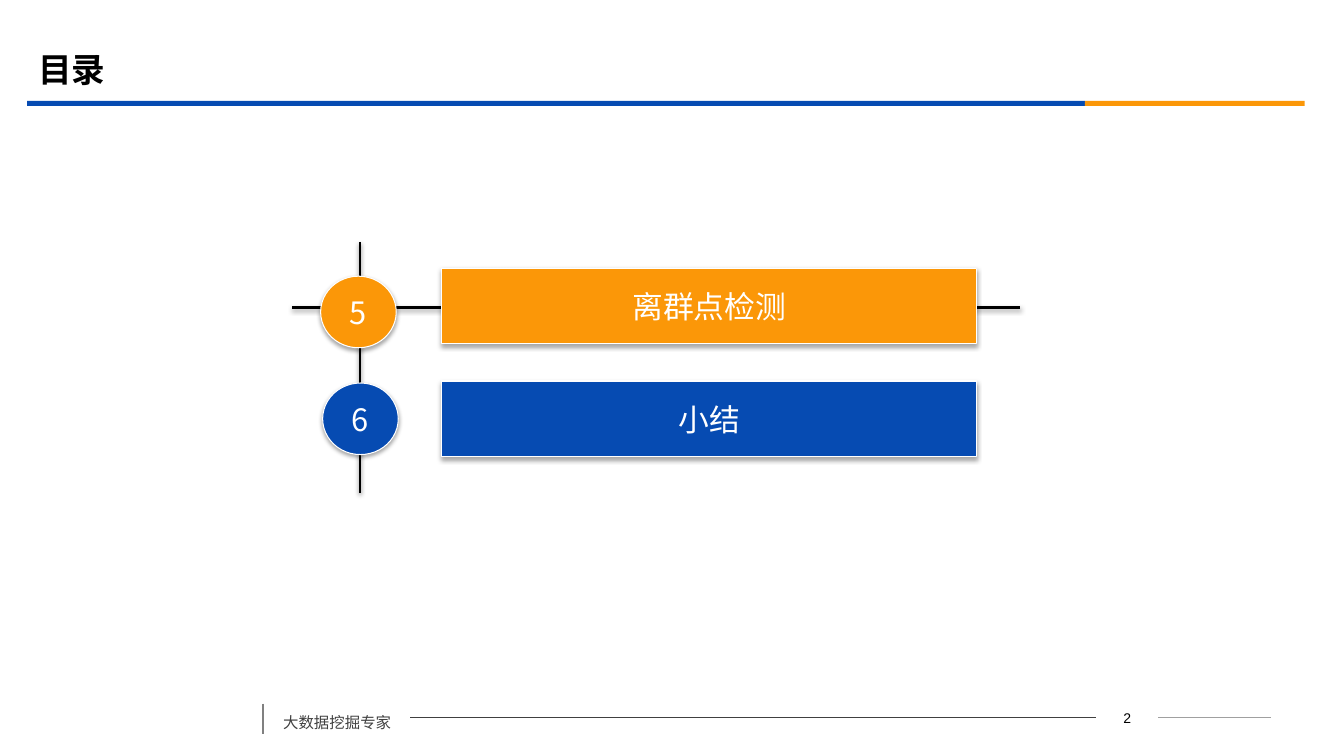
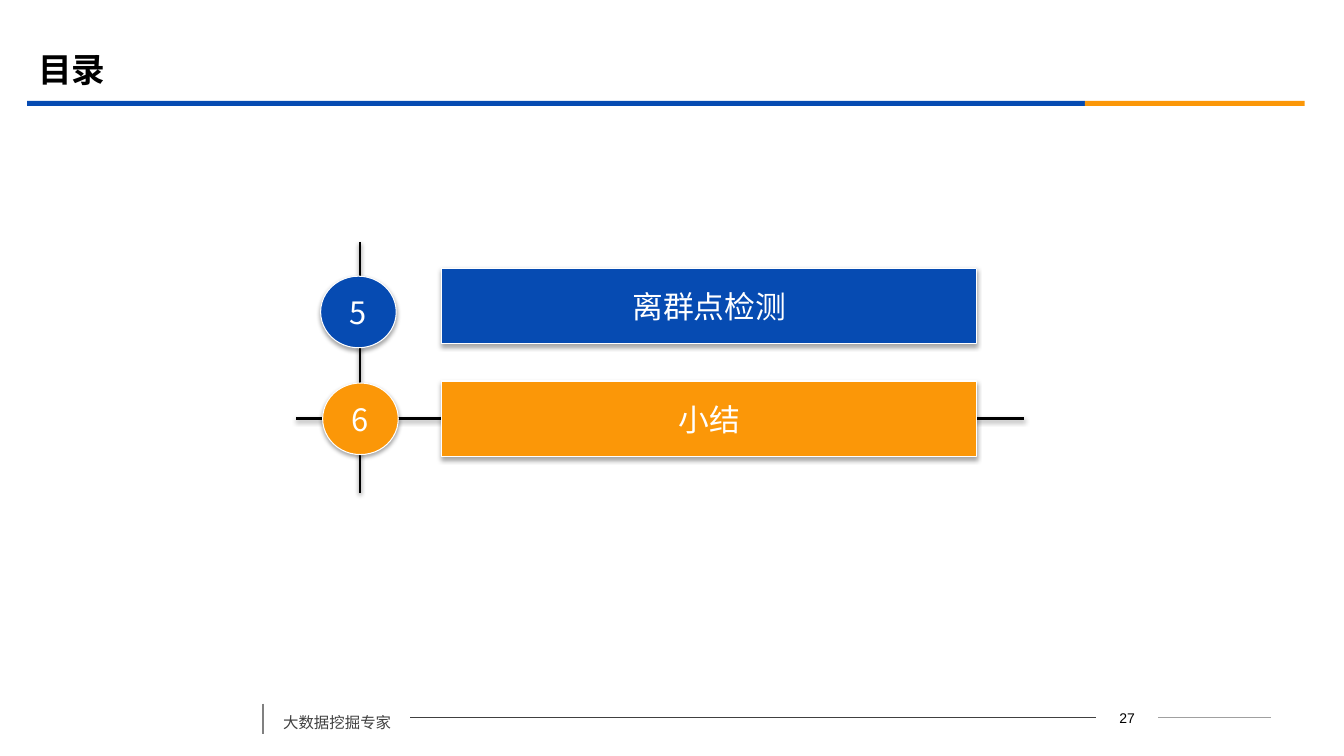
from lxml.etree import SubElement as Sub
from pptx import Presentation
from pptx.dml.color import RGBColor as RGB
from pptx.enum.shapes import MSO_CONNECTOR as Conn, MSO_SHAPE as Geo
from pptx.enum.text import MSO_ANCHOR as Anchor, PP_ALIGN as Align
from pptx.oxml.ns import qn
from pptx.util import Emu, Pt

BLUE = RGB(0x06, 0x4B, 0xB2)
ORANGE = RGB(0xFB, 0x97, 0x08)
WHITE = RGB(0xFF, 0xFF, 0xFF)
BLACK = RGB(0, 0, 0)
DARK = RGB(0x40, 0x40, 0x40)
GREY = RGB(0x80, 0x80, 0x80)
LIGHT = RGB(0xA0, 0xA0, 0xA0)

CJK = "Noto Sans CJK SC"
PX = 9144  # EMU in one px, 100 px to the inch

# number, label, circle left, circle top, bar top, rail left, rail y
ITEMS = [
    ("5", "离群点检测", 318, 274, 266, 290, 305),
    ("6", "小结", 320, 380, 378, 294, 415),
]
PAGES = [("2", "5"), ("27", "6")]  # page number, current item


def px(*nums):
    return [Emu(n * PX) for n in nums]


def write(shape, text, size=22, font=CJK, color=WHITE, bold=False,
          align=Align.CENTER, anchor=Anchor.MIDDLE, wrap=False,
          before=0, spacing=1.0):
    frame = shape.text_frame
    frame.word_wrap = wrap
    frame.vertical_anchor = anchor
    para = frame.paragraphs[0]
    para.alignment = align
    para.space_before = Pt(before)
    para.line_spacing = spacing
    run = para.add_run()
    run.text = text
    run.font.size = Pt(size)
    run.font.bold = bold
    run.font.color.rgb = color
    run.font.name = font
    Sub(run.font._element, qn("a:ea"), typeface=font)


def shade(shape, dist=0, alpha=0):
    """Give a soft shadow straight down, or none when dist is 0."""
    effects = Sub(shape._element.spPr, qn("a:effectLst"))
    if dist:
        outer = Sub(effects, qn("a:outerShdw"), blurRad="40000",
                    dist=str(dist), dir="5400000", rotWithShape="0")
        tint = Sub(outer, qn("a:srgbClr"), val=str(BLACK))
        Sub(tint, qn("a:alpha"), val=str(alpha * 1000))


class Deck:
    def __init__(self):
        self.prs = Presentation()
        self.prs.slide_width, self.prs.slide_height = px(1333, 750)
        self.shapes = None

    def page(self, title, number):
        """Start a slide with its title, bands and footer."""
        self.shapes = self.prs.slides.add_slide(
            self.prs.slide_layouts[6]).shapes
        self.band(27, 1049, BLUE)
        self.band(1076, 218, ORANGE)
        self.label(title, 28, 39, 1200, 58, size=24, color=BLACK,
                   bold=True, align=Align.LEFT, wrap=True)
        name = self.label("大数据挖掘专家", 271, 693, 136, 38, size=11,
                          color=DARK, align=Align.LEFT, anchor=Anchor.TOP,
                          before=6, spacing=1.5)
        count = self.label(number, 1087, 699, 62, 26, size=10,
                           font="Arial", color=BLACK)
        self.line(261, 698, 261, 728, GREY, 1.25)
        mid = self.line(407, 712, 1087, 712, DARK, 0.75)
        mid.begin_connect(name, 3)
        mid.end_connect(count, 1)
        tail = self.line(1149, 712, 1261, 712, LIGHT, 0.75)
        tail.begin_connect(count, 3)

    def label(self, text, x, y, w, h, **style):
        box = self.shapes.add_textbox(*px(x, y, w, h))
        write(box, text, **style)
        return box

    def band(self, x, w, color):
        bar = self.shapes.add_shape(Geo.RECTANGLE, *px(x, 100, w, 5))
        bar.shadow.inherit = False
        bar.fill.solid()
        bar.fill.fore_color.rgb = color
        bar.line.fill.background()

    def line(self, x1, y1, x2, y2, color, width):
        line = self.shapes.add_connector(Conn.STRAIGHT, *px(x1, y1, x2, y2))
        line.line.color.rgb = color
        line.line.width = Pt(width)
        shade(line)
        return line

    def rail(self, x1, y1, x2, y2):
        """Draw a thick black line with a shadow."""
        line = self.line(x1, y1, x2, y2, BLACK, 2)
        spot = line._element.spPr
        spot.remove(spot.find(qn("a:effectLst")))
        shade(line, 20000, 38)

    def tile(self, geo, text, x, y, w, h, color):
        tile = self.shapes.add_shape(geo, *px(x, y, w, h))
        tile.fill.solid()
        tile.fill.fore_color.rgb = color
        tile.line.color.rgb = WHITE
        tile.line.width = Pt(0.75)
        shade(tile, 23000, 35)
        write(tile, text)

    def agenda(self, current):
        self.rail(357, 240, 357, 489)
        for num, *_, left, y in ITEMS:
            if num == current:
                self.rail(left, y, left + 722, y)
        for num, text, x, y, top, *_ in ITEMS:
            color = ORANGE if num == current else BLUE
            self.tile(Geo.OVAL, num, x, y, 75, 71, color)
            self.tile(Geo.ACTION_BUTTON_CUSTOM, text, 438, top, 531, 75,
                      color)


def main():
    deck = Deck()
    for number, current in PAGES:
        deck.page("目录", number)
        deck.agenda(current)
    deck.prs.save("out.pptx")


if __name__ == "__main__":
    main()
